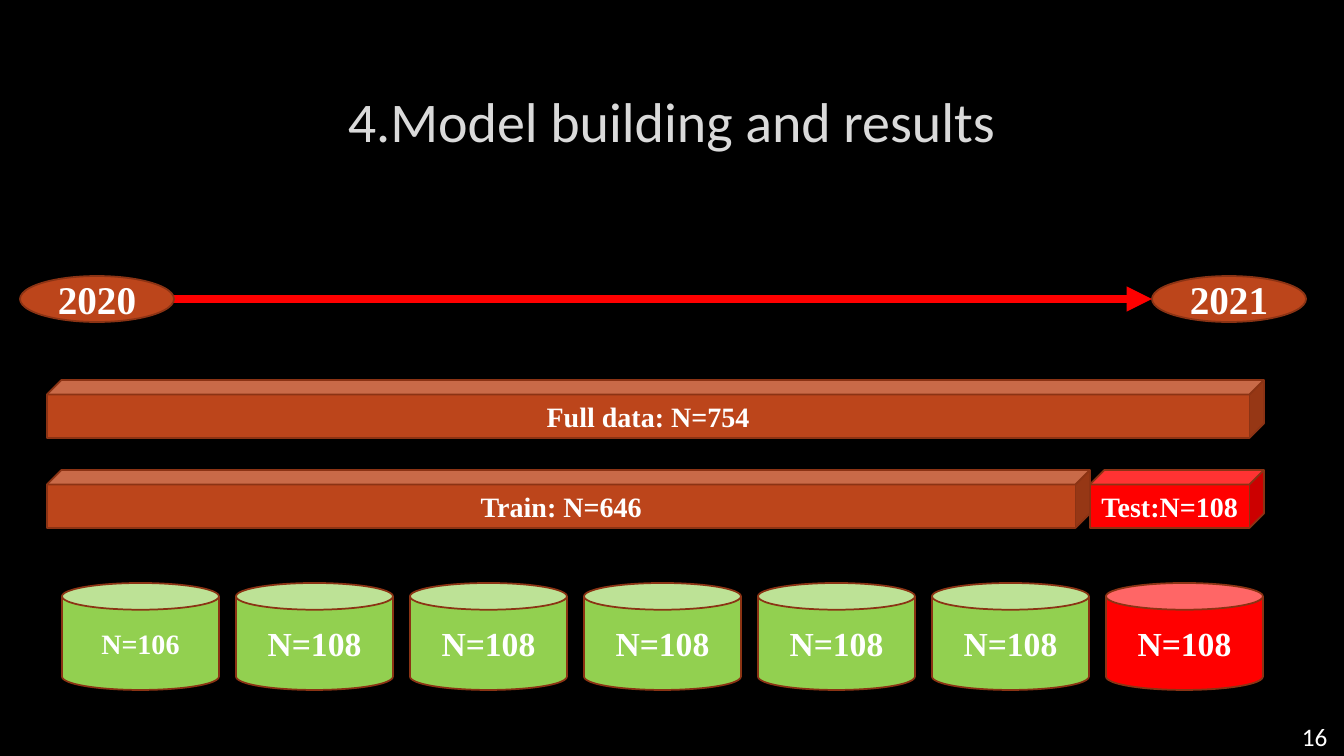
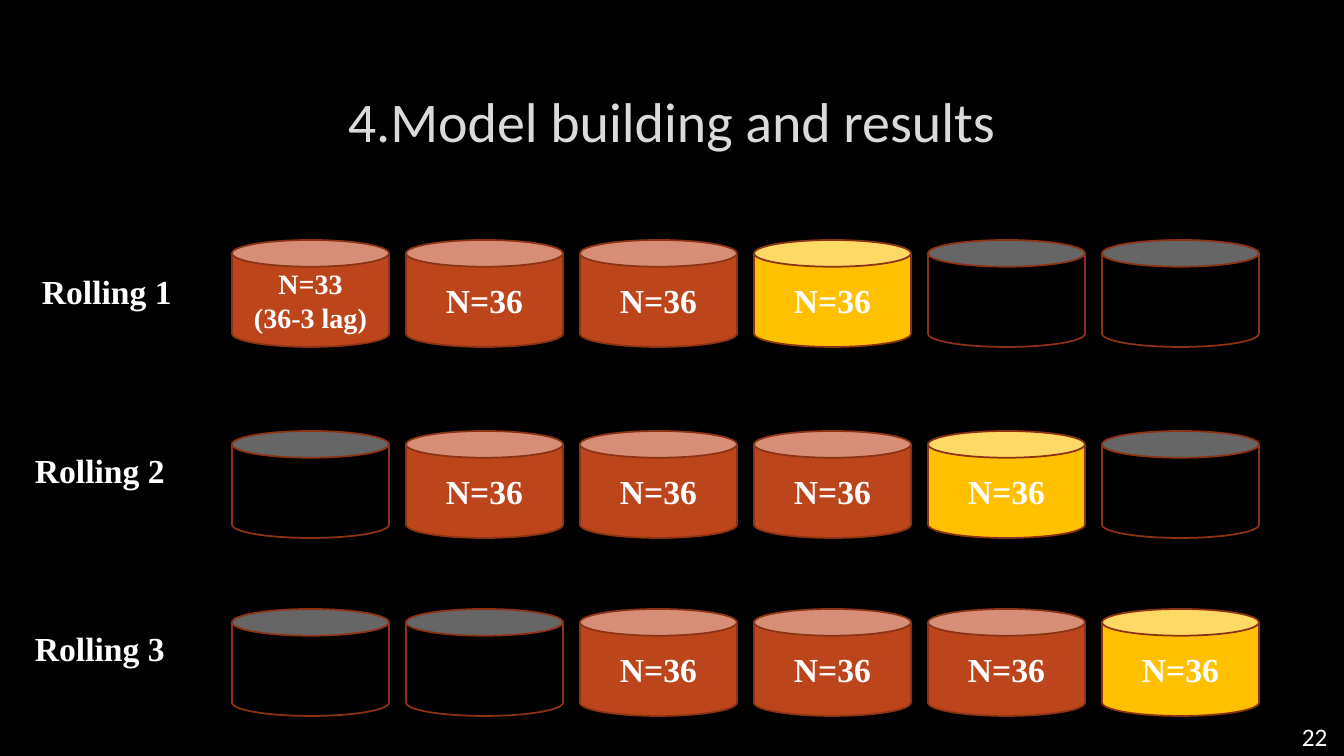
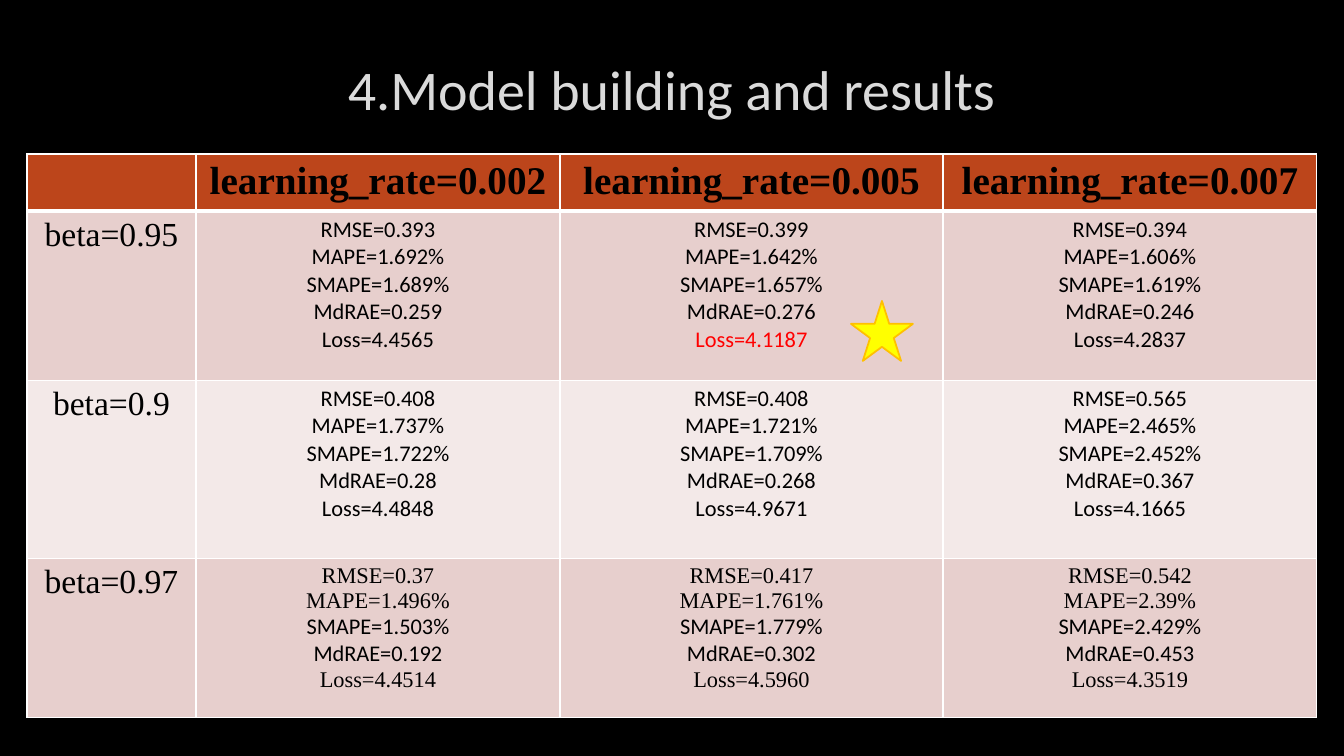
from lxml import etree
from pptx import Presentation
from pptx.dml.color import RGBColor
from pptx.enum.shapes import MSO_CONNECTOR, MSO_SHAPE
from pptx.enum.text import MSO_ANCHOR, PP_ALIGN
from pptx.oxml import parse_xml
from pptx.oxml.ns import nsdecls, qn
from pptx.util import Emu, Pt

SCALE = 914400 / 100.8
WIDE, HIGH = 1344, 756

BLACK = RGBColor(0x00, 0x00, 0x00)
WHITE = RGBColor(0xFF, 0xFF, 0xFF)
SILVER = RGBColor(0xDA, 0xDA, 0xDA)
RUST = RGBColor(0xBC, 0x45, 0x1B)
BROWN = RGBColor(0x8B, 0x33, 0x14)
RED = RGBColor(0xFF, 0x00, 0x00)
GREEN = RGBColor(0x92, 0xD0, 0x50)
GOLD = RGBColor(0xFF, 0xC0, 0x00)
YELLOW = RGBColor(0xFF, 0xFF, 0x00)
ROSE = RGBColor(0xE7, 0xCF, 0xCD)
BLUSH = RGBColor(0xF3, 0xE9, 0xE8)

SANS, SERIF = "Calibri", "Times New Roman"
LEFT, CENTER = PP_ALIGN.LEFT, PP_ALIGN.CENTER
MIDDLE = MSO_ANCHOR.MIDDLE
OVAL, CUBE, CAN, STAR = MSO_SHAPE.OVAL, MSO_SHAPE.CUBE, MSO_SHAPE.CAN, MSO_SHAPE.STAR_5_POINT
STRAIGHT = MSO_CONNECTOR.STRAIGHT

TITLE = "4.Model building and results"
CAN_WIDE, CAN_HIGH, PITCH = 157, 107, 174

HEADS = ["", "learning_rate=0.002", "learning_rate=0.005", "learning_rate=0.007"]
COLS = [169, 364, 383, 374]
ROWS = [55, 169, 178, 159]
FORMS = ["RMSE={}", "MAPE={}%", "SMAPE={}%", "MdRAE={}", "Loss={}"]
MIXED = [SERIF, SERIF, SANS, SANS, SERIF]
BEST = "4.1187"
SCORES = [
    ("beta=0.95", ROSE, [SANS] * 5, [
        "0.393 1.692 1.689 0.259 4.4565",
        "0.399 1.642 1.657 0.276 4.1187",
        "0.394 1.606 1.619 0.246 4.2837"]),
    ("beta=0.9", BLUSH, [SANS] * 5, [
        "0.408 1.737 1.722 0.28 4.4848",
        "0.408 1.721 1.709 0.268 4.9671",
        "0.565 2.465 2.452 0.367 4.1665"]),
    ("beta=0.97", ROSE, MIXED, [
        "0.37 1.496 1.503 0.192 4.4514",
        "0.417 1.761 1.779 0.302 4.5960",
        "0.542 2.39 2.429 0.453 4.3519"]),
]


def px(*sizes):
    return [Emu(round(size * SCALE)) for size in sizes]


def style(para, size, font, color, bold=False, align=CENTER):
    para.alignment = align
    para.font.size = Pt(size)
    para.font.name = font
    para.font.bold = bold
    para.font.color.rgb = color


def write(frame, text, *look):
    frame.text = text
    for para in frame.paragraphs:
        style(para, *look)


def add_text(slide, box, text, *look):
    frame = slide.shapes.add_textbox(*px(*box)).text_frame
    frame.word_wrap = True
    write(frame, text, *look)
    return frame


def add_block(slide, kind, box, fill, text="", size=24, edge=BROWN):
    shape = slide.shapes.add_shape(kind, *px(*box))
    shape.shadow.inherit = False
    shape.fill.solid()
    shape.fill.fore_color.rgb = fill
    shape.line.color.rgb = edge
    shape.line.width = Pt(1.25)
    if text:
        write(shape.text_frame, text, size, SERIF, WHITE, True)


def add_cans(slide, left, top, cans):
    for i, (fill, text, size) in enumerate(cans):
        box = (left + i * PITCH, top, CAN_WIDE, CAN_HIGH)
        add_block(slide, CAN, box, fill, text, size)


def add_arrow(slide, x1, x2, y):
    line = slide.shapes.add_connector(STRAIGHT, *px(x1, y, x2, y))
    line.line.color.rgb = RED
    line.line.width = Pt(6)
    etree.SubElement(line.line._get_or_add_ln(), qn("a:tailEnd"), type="triangle")
    etree.SubElement(line._element.spPr, qn("a:effectLst"))


def add_title(slide, top):
    frame = add_text(slide, (101, top, 1141, 107), TITLE, 40, SANS, SILVER)
    frame.vertical_anchor = MIDDLE
    look = frame.paragraphs[0]._p.pPr.find(qn("a:defRPr"))
    look.insert(0, parse_xml(
        f'<a:ln {nsdecls("a")} w="9525"><a:solidFill><a:srgbClr val="404040">'
        '<a:alpha val="10000"/></a:srgbClr></a:solidFill></a:ln>'))


def new_slide(deck, top=67, number=""):
    slide = deck.slides.add_slide(deck.slide_layouts[6])
    add_title(slide, top)
    if number:
        add_text(slide, (1292, 716, 52, 40), number, 18, SANS, WHITE, False, LEFT)
    return slide


def paint(cell, fill, base=1):
    cell.fill.solid()
    cell.fill.fore_color.rgb = fill
    props = cell._tc.get_or_add_tcPr()
    for i, (side, width) in enumerate([("L", 1), ("R", 1), ("T", 1), ("B", base)]):
        props.insert(i, parse_xml(
            f'<a:ln{side} {nsdecls("a")} w="{Pt(width)}"><a:solidFill>'
            f'<a:srgbClr val="{WHITE}"/></a:solidFill></a:ln{side}>'))


def fill_scores(cell, scores, fonts):
    values = scores.split()
    cell.text = "\n".join(form.format(value) for form, value in zip(FORMS, values))
    for para, value, font in zip(cell.text_frame.paragraphs, values, fonts):
        style(para, 16, font, RED if value == BEST else BLACK)


def add_grid(slide):
    box = px(27, 154, sum(COLS), sum(ROWS))
    table = slide.shapes.add_table(len(ROWS), len(COLS), *box).table
    for col, size in zip(table.columns, px(*COLS)):
        col.width = size
    for row, size in zip(table.rows, px(*ROWS)):
        row.height = size
    for i, head in enumerate(HEADS):
        cell = table.cell(0, i)
        write(cell.text_frame, head, 28, SERIF, BLACK, True)
        paint(cell, RUST, 3)
    for r, (beta, fill, fonts, sets) in enumerate(SCORES, 1):
        write(table.cell(r, 0).text_frame, beta, 24, SERIF, BLACK)
        for c, scores in enumerate(sets, 1):
            fill_scores(table.cell(r, c), scores, fonts)
        for c in range(len(COLS)):
            paint(table.cell(r, c), fill)


def split_slide(deck):
    slide = new_slide(deck, number="16")
    add_arrow(slide, 174, 1152, 299)
    for left, year in [(20, "2020"), (1152, "2021")]:
        add_block(slide, OVAL, (left, 276, 154, 46), RUST, year, 28)
    for left, top, width, fill, text in [
        (47, 380, 1217, RUST, "Full data: N=754"),
        (47, 470, 1043, RUST, "Train: N=646"),
        (1090, 470, 174, RED, "Test:N=108"),
    ]:
        add_block(slide, CUBE, (left, top, width, 58), fill, text, 20)
    full = (GREEN, "N=108", 24)
    add_cans(slide, 62, 583, [(GREEN, "N=106", 20)] + [full] * 5 + [(RED, "N=108", 24)])


def roll_slide(deck):
    slide = new_slide(deck, number="22")
    first = (RUST, "N=33\n(36-3 lag)", 20)
    train, test, idle = (RUST, "N=36", 24), (GOLD, "N=36", 24), (BLACK, "", 24)
    rows = [
        (32, 266, 240, [first, train, train, test, idle, idle]),
        (25, 445, 431, [idle, train, train, train, test, idle]),
        (25, 623, 609, [idle, idle, train, train, train, test]),
    ]
    for i, (left, label, top, cans) in enumerate(rows, 1):
        add_text(slide, (left, label, 200, 50), f"Rolling {i}", 24, SERIF, WHITE, True, LEFT)
        add_cans(slide, 232, top, cans)


def score_slide(deck):
    slide = new_slide(deck, 35)
    add_grid(slide)
    add_block(slide, STAR, (851, 301, 62, 60), YELLOW, edge=GOLD)


def main():
    deck = Presentation()
    deck.slide_width, deck.slide_height = px(WIDE, HIGH)
    back = deck.slide_master.background.fill
    back.solid()
    back.fore_color.rgb = BLACK
    split_slide(deck)
    roll_slide(deck)
    score_slide(deck)
    deck.save("out.pptx")


if __name__ == "__main__":
    main()
